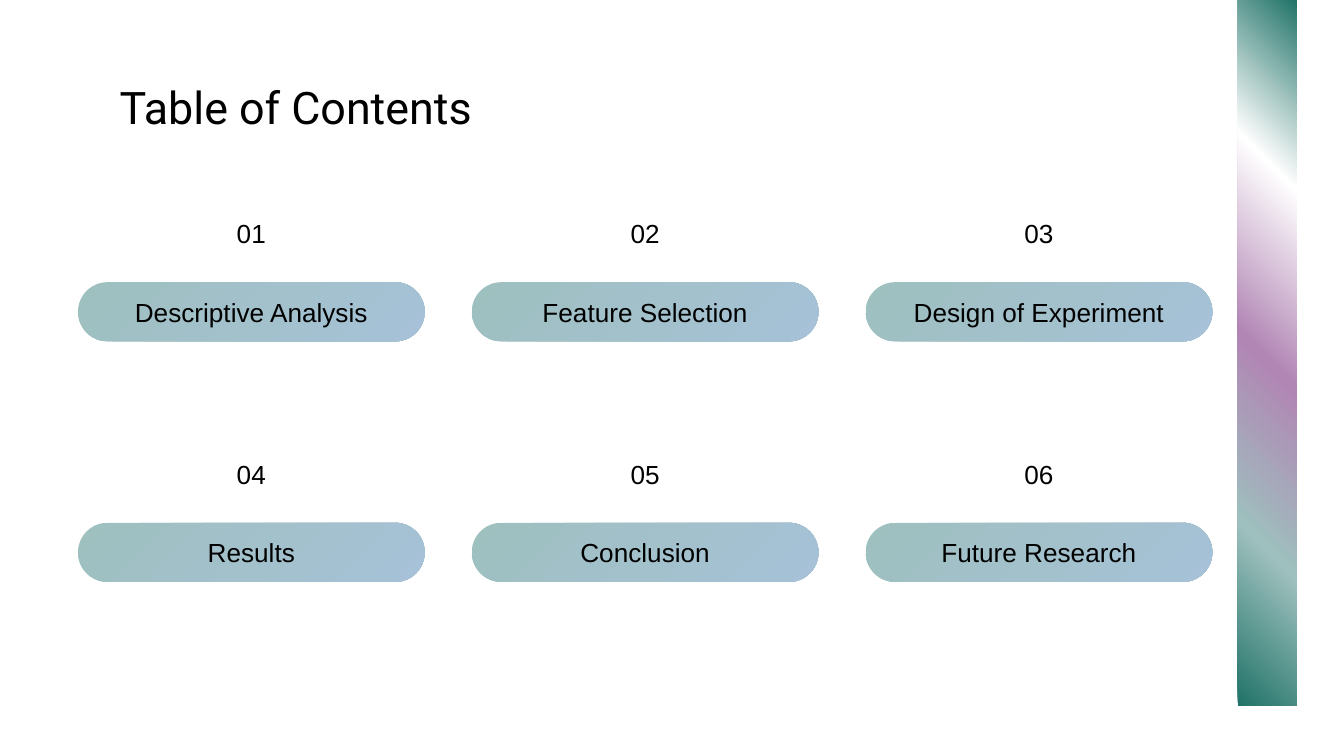
"""Build a table of contents slide with six numbered sections."""
from lxml import etree
from pptx import Presentation
from pptx import util as u
from pptx.enum import shapes, text
from pptx.dml.color import RGBColor
from pptx.oxml import ns

COLORS = {"text": "000000", "green": "207368", "teal": "9EC0BE",
          "blue": "A6C1D8", "purple": "B185B4", "white": "FFFFFF"}
PILL_STOPS = [(0, "teal"), (100, "blue")]
STRIP_STOPS = [(0, "green"), (24, "teal"), (49, "purple"),
               (75, "white"), (100, "green")]
SECTIONS = ["Descriptive Analysis", "Feature Selection", "Design of Experiment",
            "Results", "Conclusion", "Future Research"]
LEFT, TOP, COL_STEP, ROW_STEP = 0.58, 2.1, 2.93, 1.79
PILL_W, PILL_H = 2.58, 0.44
TEXT_W, TEXT_INSET = 2.42, 0.08


def set_gradient(sp, stops):
    """Fill a shape with a 45 degree gradient of (percent, colour) stops."""
    sp.fill.gradient()
    grad = sp.element.spPr.find(ns.qn("a:gradFill"))
    for child in list(grad):
        grad.remove(child)
    gs_lst = etree.SubElement(grad, ns.qn("a:gsLst"))
    for pos, color in stops:
        gs = etree.SubElement(gs_lst, ns.qn("a:gs"), pos=str(pos * 1000))
        etree.SubElement(gs, ns.qn("a:srgbClr"), val=COLORS[color])
    etree.SubElement(grad, ns.qn("a:lin"), ang=str(45 * 60000), scaled="0")


def add_gradient_shape(s, kind, box, stops):
    """Add a borderless preset shape with a gradient fill."""
    sp = s.shapes.add_shape(kind, *map(u.Inches, box))
    sp.shadow.inherit = False
    sp.line.fill.background()
    set_gradient(sp, stops)
    return sp


def write_text(sp, content, size, font, align, anchor):
    """Write one formatted paragraph into a shape."""
    tf = sp.text_frame
    frame = {"word_wrap": True, "auto_size": text.MSO_AUTO_SIZE.NONE,
             "vertical_anchor": anchor}
    for side in ("left", "top", "right", "bottom"):
        frame[f"margin_{side}"] = u.Inches(0.1)
    for name, value in frame.items():
        setattr(tf, name, value)
    p = tf.paragraphs[0]
    p.alignment = align
    r = p.add_run()
    r.text = content
    for name, value in {"size": u.Pt(size), "name": font}.items():
        setattr(r.font, name, value)
    r.font.color.rgb = RGBColor.from_string(COLORS["text"])


def add_label(s, content, box):
    """Add a centred text box."""
    sp = s.shapes.add_textbox(*map(u.Inches, box))
    write_text(sp, content, 14, "Arial", text.PP_ALIGN.CENTER,
               text.MSO_ANCHOR.MIDDLE)


def add_strip(s):
    """Add the vertical colour strip, running from bottom to top."""
    sp = add_gradient_shape(s, shapes.MSO_SHAPE.RECTANGLE,
                            (9.21, -0.01, 0.44, 5.26), STRIP_STOPS)
    sp.rotation = 180
    sp.element.spPr.find(ns.qn("a:xfrm")).set("flipH", "1")


def add_section(s, index, name):
    """Add the pill, name and number of one section in the grid."""
    row, col = divmod(index, 3)
    x, y = LEFT + col * COL_STEP, TOP + row * ROW_STEP
    pill = add_gradient_shape(s, shapes.MSO_SHAPE.ROUNDED_RECTANGLE,
                              (x, y, PILL_W, PILL_H), PILL_STOPS)
    pill.adjustments[0] = 0.5
    add_label(s, name, (x + TEXT_INSET, y + 0.07, TEXT_W, 0.3))
    add_label(s, f"{index + 1:02d}", (x + TEXT_INSET, y - 0.63, TEXT_W, 0.53))


def set_title(s, content):
    """Place and format the title placeholder."""
    sp = s.shapes.title
    box = {"left": 0.79, "top": 0.49, "width": 8.43, "height": 0.63}
    for name, value in box.items():
        setattr(sp, name, u.Inches(value))
    write_text(sp, content, 24, "Roboto", text.PP_ALIGN.LEFT,
               text.MSO_ANCHOR.TOP)


def main():
    """Assemble and save the slide."""
    prs = Presentation()
    prs.slide_width = u.Inches(10)
    prs.slide_height = u.Inches(10 * 9 / 16)
    s = prs.slides.add_slide(prs.slide_layouts[5])
    set_title(s, "Table of Contents")
    add_strip(s)
    for index, name in enumerate(SECTIONS):
        add_section(s, index, name)
    prs.save("out.pptx")


if __name__ == "__main__":
    main()
